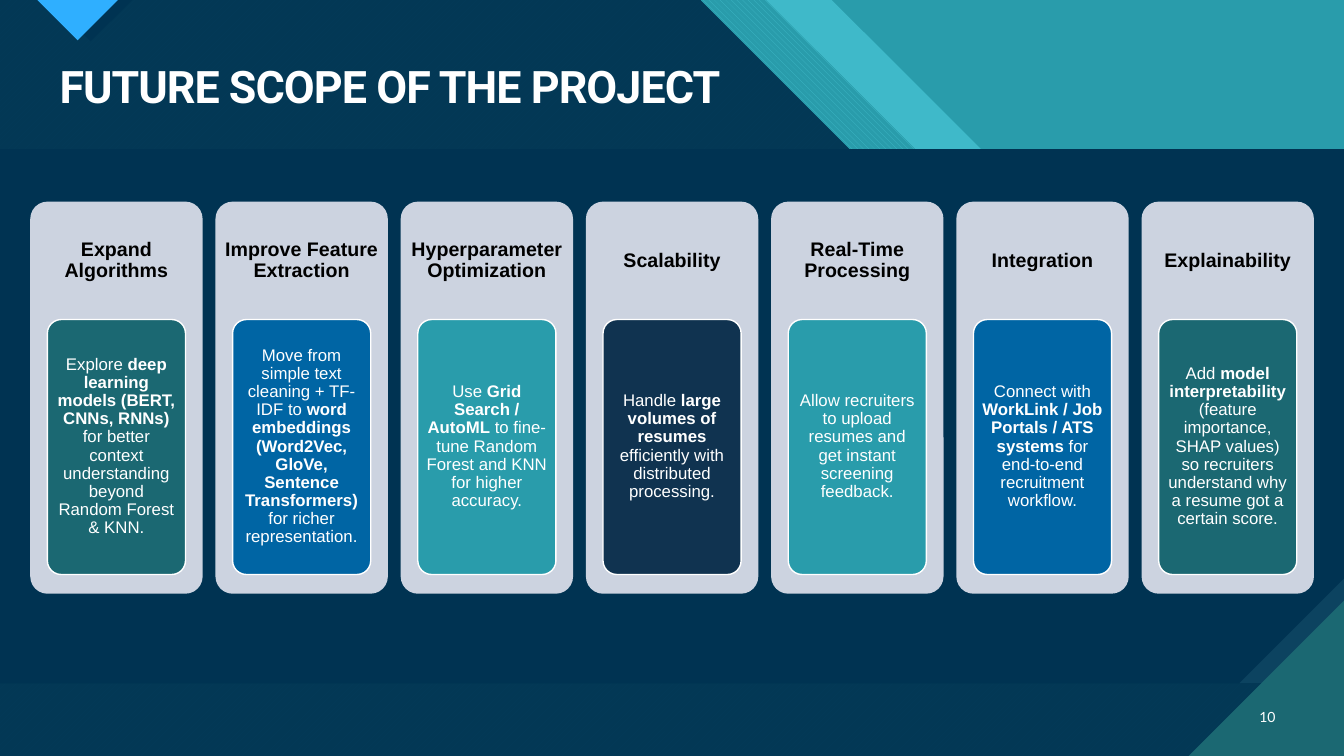
import dataclasses
import typing

import pptx
import pptx.dml.color
import pptx.enum.dml
import pptx.enum.shapes
import pptx.enum.text
import pptx.util

Inches = pptx.util.Inches
Pt = pptx.util.Pt
Align = pptx.enum.text.PP_ALIGN
Anchor = pptx.enum.text.MSO_ANCHOR
Pattern = pptx.enum.dml.MSO_PATTERN

WIDTH, HEIGHT = 13.33, 7.5
TOP, BASE = 1.48, 6.78
LEFT, STEP = 0.3, 1.837
CARD_W, CARD_H, HEAD_H = 1.71, 3.89, 1.17
NOTE_W, NOTE_H = 1.37, 2.53
GRAIN = 100
WHITE, NAVY, TEAL, PINE, BLUE = "FFFFFF", "003352", "299CAB", "1B6872", "0065A4"


@dataclasses.dataclass(frozen=True)
class Area:
    points: tuple
    fill: str
    back: str = ""
    pattern: typing.Any = None


@dataclasses.dataclass(frozen=True)
class Card:
    head: str
    fill: str
    lead: str
    strong: str = ""
    rest: str = ""


AREAS = (
    Area(((0, 0), (6.95, 0), (6.95 + TOP, TOP), (0, TOP)),
         "053C5A", "033855", Pattern.WIDE_UPWARD_DIAGONAL),
    Area(((0, BASE), (WIDTH, BASE), (WIDTH, HEIGHT), (0, HEIGHT)),
         "053C5A", "033855", Pattern.WIDE_UPWARD_DIAGONAL),
    Area(((6.95, 0), (7.6, 0), (7.6 + TOP, TOP), (6.95 + TOP, TOP)),
         "3FB9C9", TEAL, Pattern.WIDE_DOWNWARD_DIAGONAL),
    Area(((7.6, 0), (8.25, 0), (8.25 + TOP, TOP), (7.6 + TOP, TOP)), "3FB9C9"),
    Area(((0.48, 0), (1.31, 0), (0.9, 0.41)), NAVY),
    Area(((0.37, 0), (1.17, 0), (0.77, 0.4)), "2FAFFF"),
    Area(((0, TOP), (WIDTH, TOP), (WIDTH, BASE), (0, BASE)), "0C4360"),
    Area(((0, TOP), (WIDTH, TOP), (WIDTH, 5.74), (12.29, BASE), (0, BASE)), NAVY),
    Area(((11.79, HEIGHT), (WIDTH, HEIGHT), (WIDTH, 5.96)), PINE),
)

CARDS = (
    Card("Expand Algorithms", PINE, "Explore ",
         "deep learning models (BERT, CNNs, RNNs)",
         " for better context understanding beyond Random Forest & KNN."),
    Card("Improve Feature Extraction", BLUE,
         "Move from simple text cleaning + TF-IDF to ",
         "word embeddings (Word2Vec, GloVe, Sentence Transformers)",
         " for richer representation."),
    Card("Hyperparameter Optimization", TEAL, "Use ", "Grid Search / AutoML",
         " to fine-tune Random Forest and KNN for higher accuracy."),
    Card("Scalability", "103350", "Handle ", "large volumes of resumes",
         " efficiently with distributed processing."),
    Card("Real-Time Processing", TEAL,
         "Allow recruiters to upload resumes and get instant screening feedback."),
    Card("Integration", BLUE, "Connect with ",
         "WorkLink / Job Portals / ATS systems",
         " for end-to-end recruitment workflow."),
    Card("Explainability", PINE, "Add ", "model interpretability",
         " (feature importance, SHAP values) so recruiters understand why"
         " a resume got a certain score."),
)


def color(code: str) -> pptx.dml.color.RGBColor:
    return pptx.dml.color.RGBColor.from_string(code)


def style(run, face: str, size: float, code: str, bold: bool = False) -> None:
    run.font.name = face
    run.font.size = Pt(size)
    run.font.bold = bold
    run.font.color.rgb = color(code)


def paint(shape, code: str, edge: str = "") -> None:
    shape.shadow.inherit = False
    shape.fill.solid()
    shape.fill.fore_color.rgb = color(code)
    if edge:
        shape.line.color.rgb = color(edge)
        shape.line.width = Pt(1)
    else:
        shape.line.fill.background()


def draw_area(slide, area: Area) -> None:
    first, *rest = [(round(x * GRAIN), round(y * GRAIN)) for x, y in area.points]
    pen = slide.shapes.build_freeform(*first, scale=Inches(1) / GRAIN)
    pen.add_line_segments(rest, close=True)
    shape = pen.convert_to_shape()
    paint(shape, area.fill)
    if area.pattern is not None:
        shape.fill.patterned()
        shape.fill.pattern = area.pattern
        shape.fill.fore_color.rgb = color(area.fill)
        shape.fill.back_color.rgb = color(area.back)


def draw_box(slide, box: tuple, code: str, edge: str, inset: float, foot: float):
    shape = slide.shapes.add_shape(
        pptx.enum.shapes.MSO_SHAPE.ROUNDED_RECTANGLE, *map(Inches, box))
    shape.adjustments[0] = 0.1
    paint(shape, code, edge)
    frame = shape.text_frame
    frame.word_wrap = True
    frame.vertical_anchor = Anchor.MIDDLE
    frame.margin_left = frame.margin_right = frame.margin_top = Inches(inset)
    frame.margin_bottom = Inches(foot)
    para = frame.paragraphs[0]
    para.alignment = Align.CENTER
    para.line_spacing = 0.9
    return para


def draw_card(slide, card: Card, left: float) -> None:
    para = draw_box(slide, (left, 2, CARD_W, CARD_H), "CCD3E0", "",
                    0.01, CARD_H - HEAD_H)
    para.text = card.head
    style(para.runs[0], "Arial", 14, "000000", True)
    side = (CARD_W - NOTE_W) / 2
    para = draw_box(slide, (left + side, 2 + HEAD_H, NOTE_W, NOTE_H),
                    card.fill, WHITE, 0.04, 0.05)
    for text, bold in ((card.lead, False), (card.strong, True), (card.rest, False)):
        if text:
            run = para.add_run()
            run.text = text
            style(run, "Arial", 12, WHITE, bold)


def draw_title(slide) -> None:
    title = slide.shapes.title
    title.left, title.top, title.width, title.height = map(
        Inches, (0.49, 0.59, 12.26, 0.59))
    frame = title.text_frame
    frame.text = "FUTURE SCOPE OF THE PROJECT"
    frame.vertical_anchor = Anchor.TOP
    para = frame.paragraphs[0]
    para.alignment = Align.LEFT
    para.line_spacing = 0.9
    run = para.runs[0]
    style(run, "Roboto", 32, WHITE, True)
    run.font._element.set("spc", "-70")
    slide.shapes._spTree.append(title._element)


def draw_page(slide) -> None:
    frame = slide.shapes.add_textbox(
        *map(Inches, (12.31, 6.91, 0.44, 0.4))).text_frame
    frame.word_wrap = True
    frame.vertical_anchor = Anchor.MIDDLE
    frame.text = "10"
    para = frame.paragraphs[0]
    para.alignment = Align.RIGHT
    style(para.runs[0], "Lato", 10, WHITE)


def main() -> None:
    deck = pptx.Presentation()
    deck.slide_width, deck.slide_height = Inches(WIDTH), Inches(HEIGHT)
    slide = deck.slides.add_slide(deck.slide_layouts[5])
    slide.background.fill.solid()
    slide.background.fill.fore_color.rgb = color(TEAL)
    for area in AREAS:
        draw_area(slide, area)
    for rank, card in enumerate(CARDS):
        draw_card(slide, card, LEFT + rank * STEP)
    draw_page(slide)
    draw_title(slide)
    deck.save("out.pptx")


if __name__ == "__main__":
    main()
